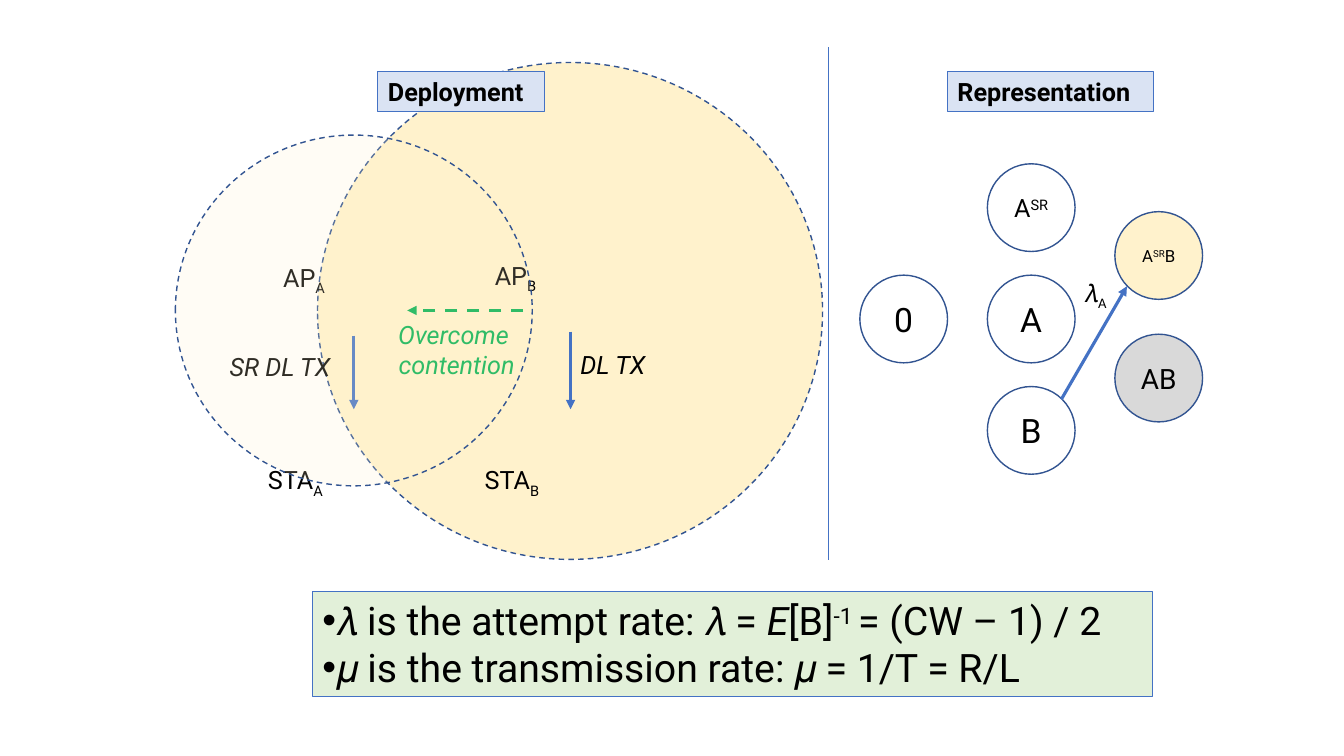
from lxml.etree import SubElement
from pptx import Presentation
from pptx.dml.color import RGBColor
from pptx.enum.dml import MSO_LINE
from pptx.enum.shapes import MSO_CONNECTOR as CONN, MSO_SHAPE as SHAPE
from pptx.enum.text import MSO_ANCHOR as ANCHOR, MSO_AUTO_SIZE as FIT, PP_ALIGN as ALIGN
from pptx.oxml.ns import qn
from pptx.util import Inches, Pt

INK, BLUE, NAVY, GREEN = "000000", "4472C4", "325491", "00B050"
CREAM, PALE_BLUE, PALE_GREEN, GREY = "FFF2CC", "DAE3F3", "E2F0D9", "D9D9D9"
COLS, ROWS = 133.33, 75
SUB, SUP = -25000, 30000

prs = Presentation()
prs.slide_width, prs.slide_height = Inches(13.33), Inches(7.5)
shapes = prs.slides.add_slide(prs.slide_layouts[6]).shapes


def rgb(value):
    return RGBColor.from_string(value)


def place(box, x, y):
    return (round((box[0] + x) * prs.slide_width / COLS),
            round((box[1] + y) * prs.slide_height / ROWS))


def outline(line, color, width, dash=False):
    line.color.rgb = rgb(color)
    line.width = Pt(width)
    if dash:
        line.dash_style = MSO_LINE.DASH


def add_shape(box, kind, x, y, w, h, fill=None, line=NAVY, width=1, dash=False):
    sp = shapes.add_shape(kind, *place(box, x, y), *place((0, 0), w, h))
    sp.shadow.inherit = False
    if fill:
        sp.fill.solid()
        sp.fill.fore_color.rgb = rgb(fill)
    else:
        sp.fill.background()
    outline(sp.line, line, width, dash)
    return sp


def add_line(box, x1, y1, x2, y2, color=BLUE, width=2.25, dash=False, arrow=True):
    cx = shapes.add_connector(CONN.STRAIGHT, *place(box, x1, y1), *place(box, x2, y2))
    outline(cx.line, color, width, dash)
    if arrow:
        SubElement(cx.line._get_or_add_ln(), qn("a:tailEnd"), type="triangle")
    SubElement(cx._element.spPr, qn("a:effectLst"))


def write(sp, paragraphs, size, color=INK, font="Roboto", align=ALIGN.LEFT,
          anchor=ANCHOR.TOP, wrap=False, fit=FIT.SHAPE_TO_FIT_TEXT, bullet=False, **style):
    tf = sp.text_frame
    for name, value in {"word_wrap": wrap, "auto_size": fit, "vertical_anchor": anchor}.items():
        setattr(tf, name, value)
    for i, runs in enumerate(paragraphs):
        p = tf.add_paragraph() if i else tf.paragraphs[0]
        p.alignment = align
        if bullet:
            pPr = p._p.get_or_add_pPr()
            pPr.set("marL", "0")
            pPr.set("indent", str(-Inches(0.31)))
            SubElement(pPr, qn("a:buFont"), typeface="Arial")
            SubElement(pPr, qn("a:buChar"), char="•")
        for text, extra in runs:
            r = p.add_run()
            r.text = text
            fmt = {"name": font, "size": Pt(size), **style, **extra}
            shift = fmt.pop("baseline", 0)
            for name, value in fmt.items():
                setattr(r.font, name, value)
            r.font.color.rgb = rgb(color)
            if shift:
                r._r.get_or_add_rPr().set("baseline", str(shift))


def add_label(box, x, y, w, h, paragraphs, size=18, **style):
    sp = shapes.add_textbox(*place(box, x, y), *place((0, 0), w, h))
    write(sp, paragraphs, size, **style)


def scripted(base, script, shift, rest=""):
    runs = [(base, {}), (script, {"baseline": shift}), (rest, {})]
    return [run for run in runs if run[0]]


def heading(box, x, w, text):
    sp = add_shape(box, SHAPE.RECTANGLE, x, 2.4, w, 4, PALE_BLUE, BLUE, 0.75)
    write(sp, [[(text, {})]], 18, bold=True)


def representation(box):
    add_line(box, 0, 0, 0, box[3], width=0.5, arrow=False)
    nodes = [
        (0, 0, 24, None, [("0", {})]),
        (1, 0, 24, None, [("A", {})]),
        (1, 1, 24, "FFFFFF", [("B", {})]),
        (2, 0.53, 20, GREY, [("AB", {})]),
        (1, -1, 18, None, scripted("A", "SR", SUP)),
        (2, -0.57, 12, CREAM, scripted("A", "SR", SUP, "B")),
    ]
    for col, row, size, fill, runs in nodes:
        sp = add_shape(box, SHAPE.OVAL, 3.1 + 12.65 * col, 22.6 + 11.05 * row, 8.7, 8.7, fill)
        write(sp, [runs], size, align=ALIGN.CENTER, anchor=ANCHOR.MIDDLE,
              wrap=True, fit=FIT.NONE)
    add_line(box, 23.1, 34.9, 29.6, 23.7)
    add_label(box, 24.4, 22.3, 4.3, 4, [scripted("𝜆", "A", SUB)], font="Calibri", wrap=True)
    heading(box, 11.8, 20.4, "Representation")


def deployment(box):
    add_shape(box, SHAPE.OVAL, 14.1, 1.5, 50.1, 49.3, CREAM, dash=True)
    for x, y, w, name, cell in [(30.7, 20.6, 6.5, "AP", "B"), (9.7, 20.8, 6.3, "AP", "A"),
                                (29.7, 40.9, 7.9, "STA", "B"), (8.2, 40.9, 7.9, "STA", "A")]:
        add_label(box, x, y, w, 4, [scripted(name, cell, SUB)])
    for x, top, label_x, label_y, w, text in [(39.2, 28.2, 39.2, 29.5, 9, "DL TX"),
                                              (17.7, 28.6, 4.4, 29.7, 13.2, "SR DL TX")]:
        add_line(box, x, top, x, 35.9)
        add_label(box, label_x, label_y, w, 4, [[(text, {})]], italic=True)
    add_line(box, 34.5, 26.1, 23, 26.1, GREEN, dash=True)
    add_label(box, 20.7, 26.5, 14.4, 7.1, [[("Overcome ", {})], [("contention", {})]],
              color=GREEN, align=ALIGN.CENTER, italic=True)
    veil = add_shape(box, SHAPE.OVAL, 0, 8.7, 35.4, 34.8, CREAM, dash=True)
    tint = veil._element.spPr.find(qn("a:solidFill"))[0]
    SubElement(tint, qn("a:alpha"), val="19000")
    heading(box, 20.1, 16.5, "Deployment")


def rates(box):
    sp = add_shape(box, SHAPE.RECTANGLE, 0, 0, box[2], box[3], PALE_GREEN, BLUE, 0.75)
    attempt = [("𝜆 is the attempt rate: 𝜆 = ", {}), ("E", {"italic": True}), ("[B]", {}),
               ("-1 ", {"baseline": SUP}), ("= (CW – 1) / 2", {})]
    transmission = [("𝜇 is the transmission rate: 𝜇 = 1/T = R/L", {})]
    write(sp, [attempt, transmission], 28, wrap=True, bullet=True)


representation((82.2, 4.7, 37.1, 50.9))
deployment((17.4, 4.7, 64.2, 50.8))
rates((31, 58.7, 83.3, 10.4))
prs.save("out.pptx")
